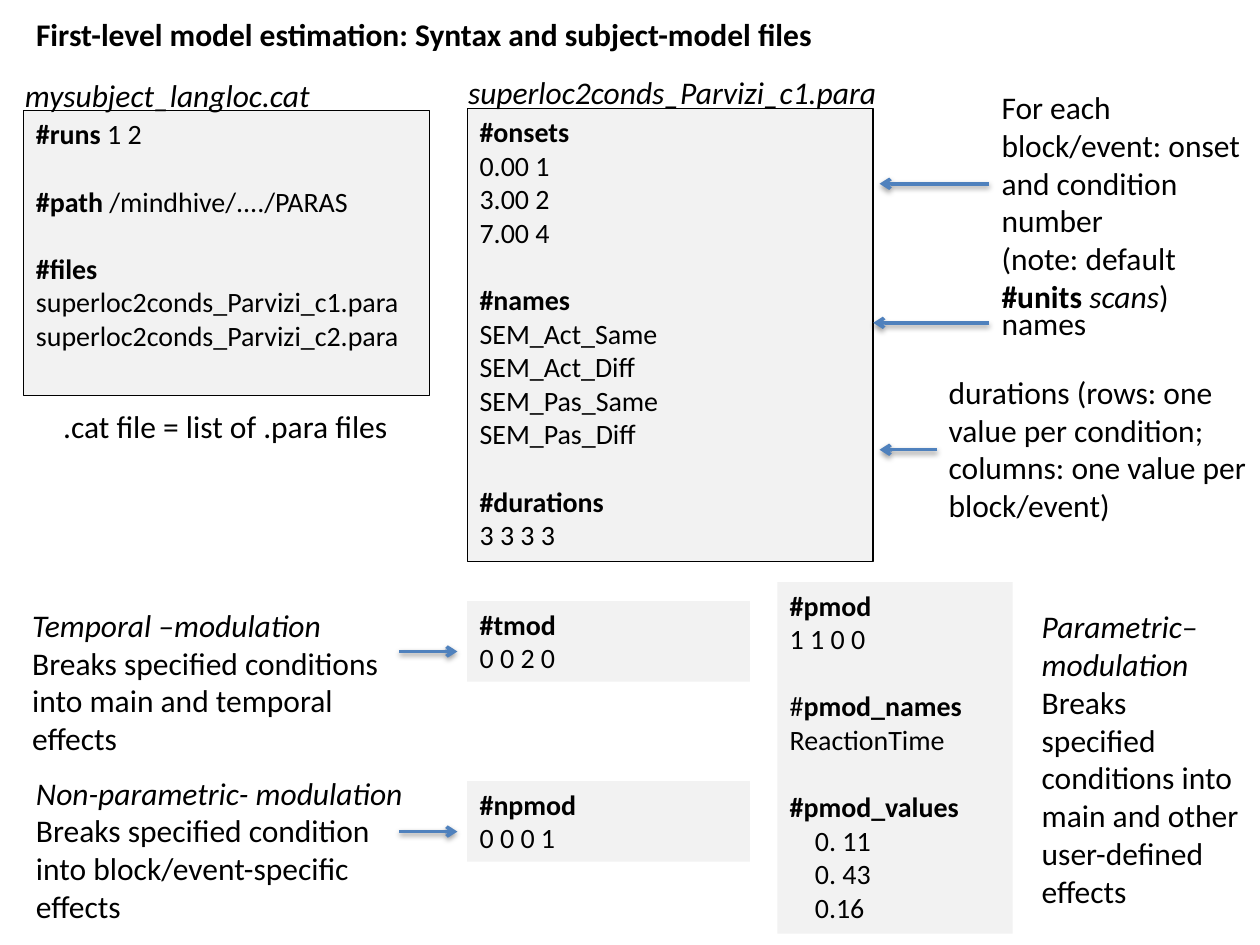
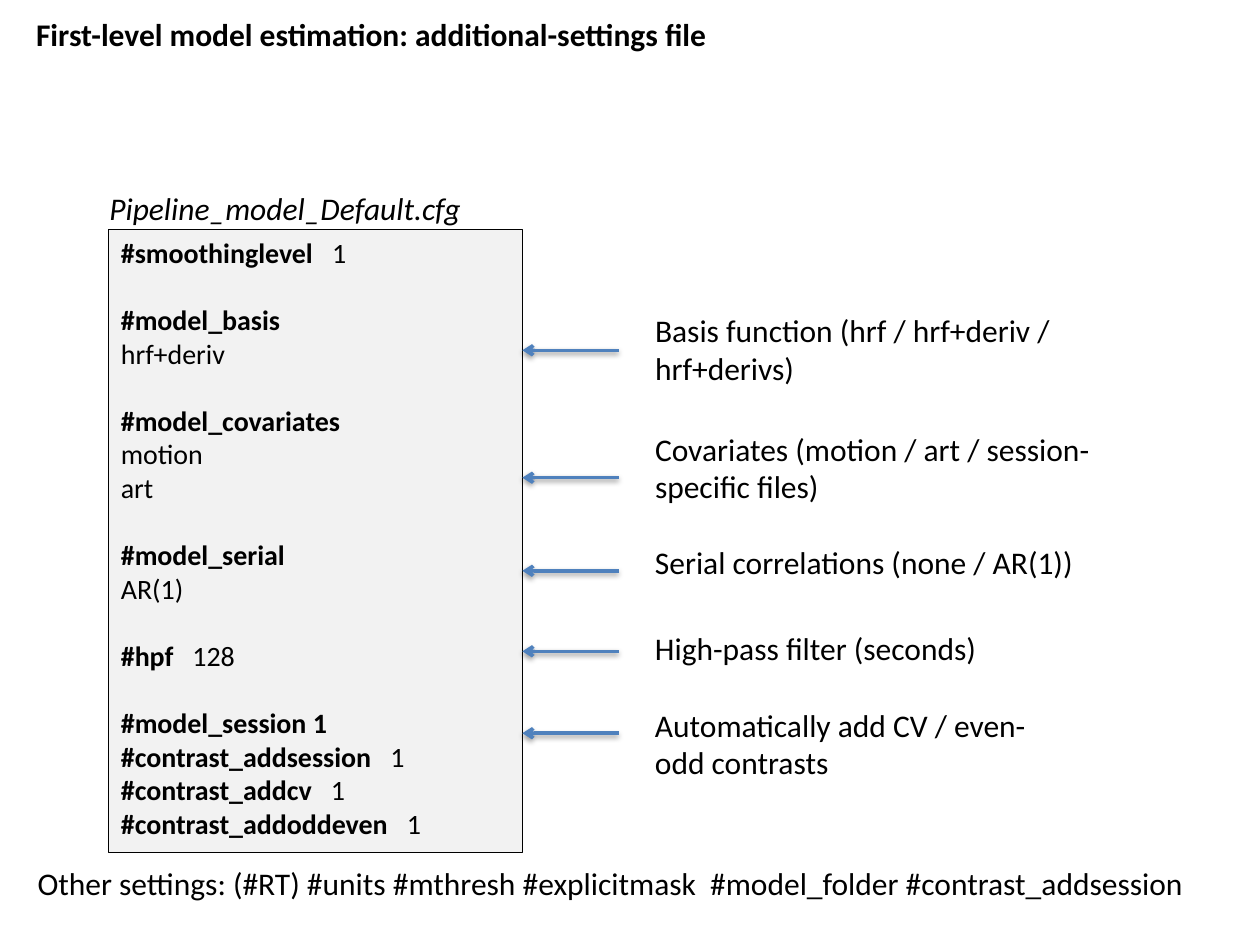
from lxml.etree import SubElement
from pptx import Presentation
from pptx.dml.color import RGBColor
from pptx.enum.shapes import MSO_CONNECTOR as Link, MSO_SHAPE as Form
from pptx.enum.text import MSO_ANCHOR as Anchor, MSO_AUTO_SIZE as Fit, PP_ALIGN as Align
from pptx.oxml.ns import qn
from pptx.util import Pt

HUES = {"text": "000000", "panel": "F2F2F2", "edge": "000000", "arrow": "4F81BD"}


def hue(name):
    return RGBColor.from_string(HUES[name])


def bold(text):
    return [(text, "b")]


def slant(text):
    return [(text, "i")]


def pair(key, value):
    return [(key, "b"), (" ", "w"), (value, "")]


class Deck:
    font = "Calibri"
    code = 16
    prose = 18
    gap = 19.2
    indent = 14.4
    wide = 7.2

    def __init__(self):
        self.show = Presentation()
        self.show.slide_width = Pt(720)
        self.show.slide_height = Pt(540)

    def start(self, title):
        self.slide = self.show.slides.add_slide(self.show.slide_layouts[5])
        head = self.slide.shapes.title
        head.left, head.top, head.width, head.height = map(Pt, (13.4, 5, 673, 29))
        self.lay(head.text_frame, [[bold(title)]], self.prose)

    def lay(self, frame, groups, size):
        frame.word_wrap = True
        frame.auto_size = Fit.NONE
        frame.vertical_anchor = Anchor.TOP
        fresh = True
        for rank, group in enumerate(groups):
            for spot, row in enumerate(group):
                para = frame.paragraphs[0] if fresh else frame.add_paragraph()
                fresh = False
                para.alignment = Align.LEFT
                para.space_before = Pt(self.gap if rank and not spot else 0)
                self.fill(para, [(row, "")] if isinstance(row, str) else row, size)

    def fill(self, para, runs, size):
        for text, mark in runs:
            run = para.add_run()
            run.text = text
            run.font.name = self.font
            run.font.size = Pt(size)
            run.font.color.rgb = hue("text")
            run.font.bold = mark == "b"
            run.font.italic = mark == "i"
            if mark == "w":
                run._r.get_or_add_rPr().set("spc", str(round(self.wide * 100)))
            if mark == "t":
                para._p.get_or_add_pPr().set("marL", str(Pt(self.indent)))

    def panel(self, x, y, w, h, groups, edge=False):
        box = self.slide.shapes.add_shape(Form.RECTANGLE, Pt(x), Pt(y), Pt(w), Pt(h))
        box.shadow.inherit = False
        box.fill.solid()
        box.fill.fore_color.rgb = hue("panel")
        if edge:
            box.line.color.rgb = hue("edge")
            box.line.width = Pt(0.75)
        else:
            box.line.fill.background()
        self.lay(box.text_frame, groups, self.code)

    def note(self, x, y, w, h, *rows):
        box = self.slide.shapes.add_textbox(Pt(x), Pt(y), Pt(w), Pt(h))
        self.lay(box.text_frame, [rows], self.prose)

    def arrow(self, start, end, y):
        line = self.slide.shapes.add_connector(
            Link.STRAIGHT, Pt(start), Pt(y), Pt(end), Pt(y))
        line.line.color.rgb = hue("arrow")
        line.line.width = Pt(2)
        props = line._element.spPr
        SubElement(props.find(qn("a:ln")), qn("a:tailEnd"), type="arrow")
        cast = SubElement(SubElement(props, qn("a:effectLst")), qn("a:outerShdw"),
                          blurRad=str(Pt(3.1)), dist=str(Pt(1.6)),
                          dir="5400000", rotWithShape="0")
        tint = SubElement(cast, qn("a:srgbClr"), val=HUES["edge"])
        SubElement(tint, qn("a:alpha"), val="38000")


def syntax(deck):
    deck.start("First-level model estimation: Syntax and subject-model files")
    para = "superloc2conds_Parvizi_c1.para"
    mid = 267

    deck.panel(13.5, 63.3, 232, 162.7, [
        [[("#runs ", "b"), ("1 2", "")]],
        [[("#path ", "b"), ("/mindhive/..../PARAS", "")]],
        [bold("#files"), para, "superloc2conds_Parvizi_c2.para"],
    ], edge=True)
    deck.note(7.2, 39.6, 185, 29, slant("mysubject_langloc.cat"))
    deck.note(29, 229, 203, 29, ".cat file = list of .para files")

    deck.panel(mid, 62, 232, 259, [
        [bold("#onsets"), "0.00 1", "3.00 2", "7.00 4"],
        [bold("#names"), "SEM_Act_Same", "SEM_Act_Diff", "SEM_Pas_Same", "SEM_Pas_Diff"],
        [bold("#durations"), "3 3 3 3"],
    ], edge=True)
    deck.note(260.4, 38, 255, 29, slant(para))

    for name, value, y in (("#tmod", "0 0 2 0", 343.5), ("#npmod", "0 0 0 1", 446.4)):
        deck.panel(mid, y, 161.5, 46, [[bold(name), value]])
        deck.arrow(228.3, 261.4, y + 28.8)
    deck.panel(444.2, 332.6, 134.5, 201, [
        [bold("#pmod"), "1 1 0 0"],
        [[("#", ""), ("pmod_names", "b")], "ReactionTime"],
        [bold("#pmod_values")] + [[(v, "t")] for v in ("0. 11", "0. 43", "0.16")],
    ])

    deck.note(565.2, 46.8, 154.8, 117,
              "For each block/event: onset and condition number",
              [("(note: default ", ""), ("#units ", "b"), ("scans", "i"), (")", "")])
    deck.note(565.2, 170, 154.8, 29, "names")
    deck.note(535, 209.5, 185.5, 94.5,
              "durations (rows: one value per condition; columns: one value per block/event)")
    for start, end, y in ((565.2, 502.6, 105), (565.2, 499, 184.5), (535.7, 502.6, 257)):
        deck.arrow(start, end, y)

    deck.note(11.3, 342.7, 217, 94.5,
              [("Temporal –modulation ", "i"),
               ("Breaks specified conditions into main and temporal effects", "")])
    deck.note(13.5, 438.5, 232, 94.5, slant("Non-parametric- modulation"),
              "Breaks specified condition into block/event-specific effects")
    deck.note(588.2, 343.4, 131.8, 181.5, slant("Parametric–modulation"),
              "Breaks specified conditions into main and other user-defined effects")


def config(deck):
    deck.start("First-level model estimation: additional-settings file")
    deck.panel(62, 131, 236.5, 356.3, [
        [pair("#smoothinglevel", "1")],
        [bold("#model_basis"), "hrf+deriv"],
        [bold("#model_covariates"), "motion", "art"],
        [bold("#model_serial"), "AR(1)"],
        [pair("#hpf", "128")],
        [bold("#model_session 1")] + [
            pair("#contrast_" + key, "1") for key in ("addsession", "addcv", "addoddeven")],
    ], edge=True)
    deck.note(55.4, 104.4, 222.5, 29, slant("Pipeline_model_Default.cfg"))
    deck.note(14.4, 490.3, 672.5, 49,
              "Other settings: (#RT) #units #mthresh #explicitmask  "
              "#model_folder #contrast_addsession")

    hints = (
        ("Basis function (hrf / hrf+deriv / hrf+derivs)", 174.2, 278, 51, 200.2),
        ("Covariates (motion / art / session-specific files)", 242, 278, 51, 273),
        ("Serial correlations (none / AR(1))", 306.7, 305, 29, 326.2),
        ("High-pass filter (seconds)", 355.7, 236, 29, 372.2),
        ("Automatically add CV / even-odd contrasts", 399.6, 236, 51, 419),
    )
    for text, top, width, height, level in hints:
        deck.note(367.2, top, width, height, text)
        deck.arrow(353.5, 298.5, level)


def main():
    deck = Deck()
    syntax(deck)
    config(deck)
    deck.show.save("out.pptx")


if __name__ == "__main__":
    main()
